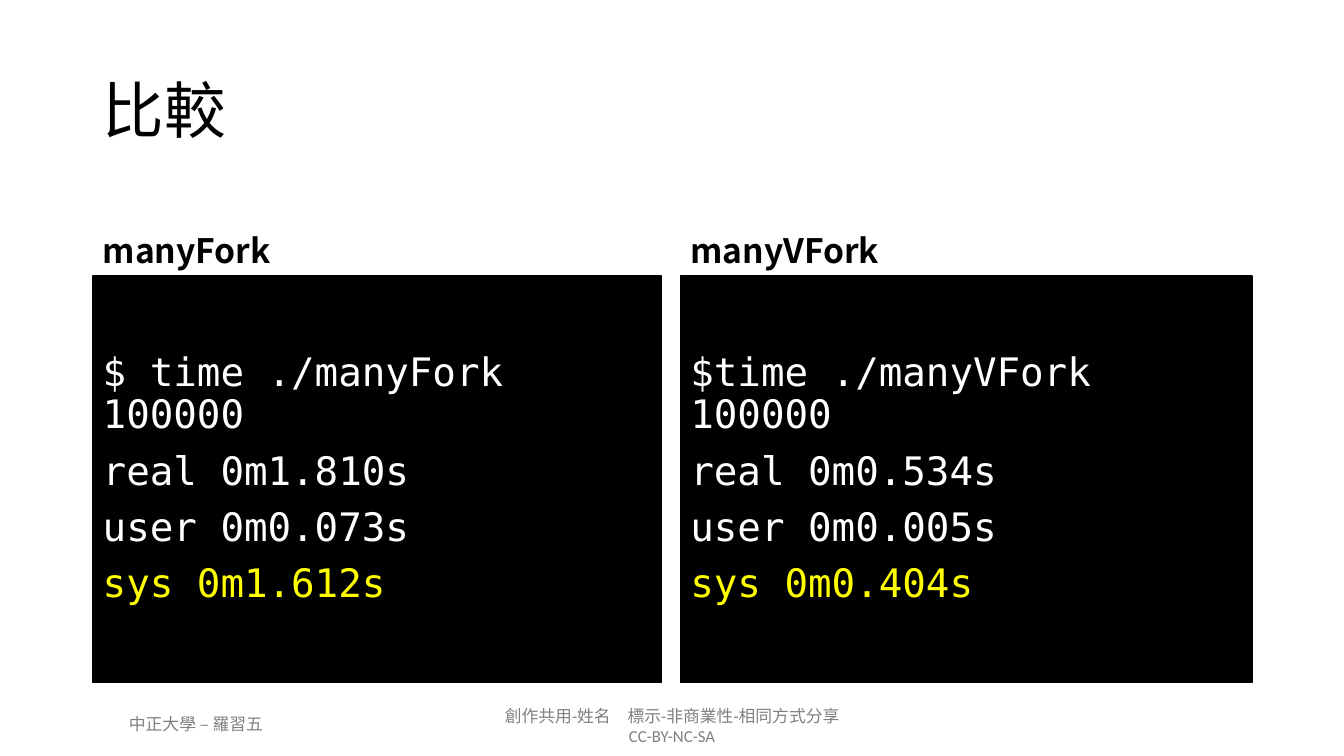
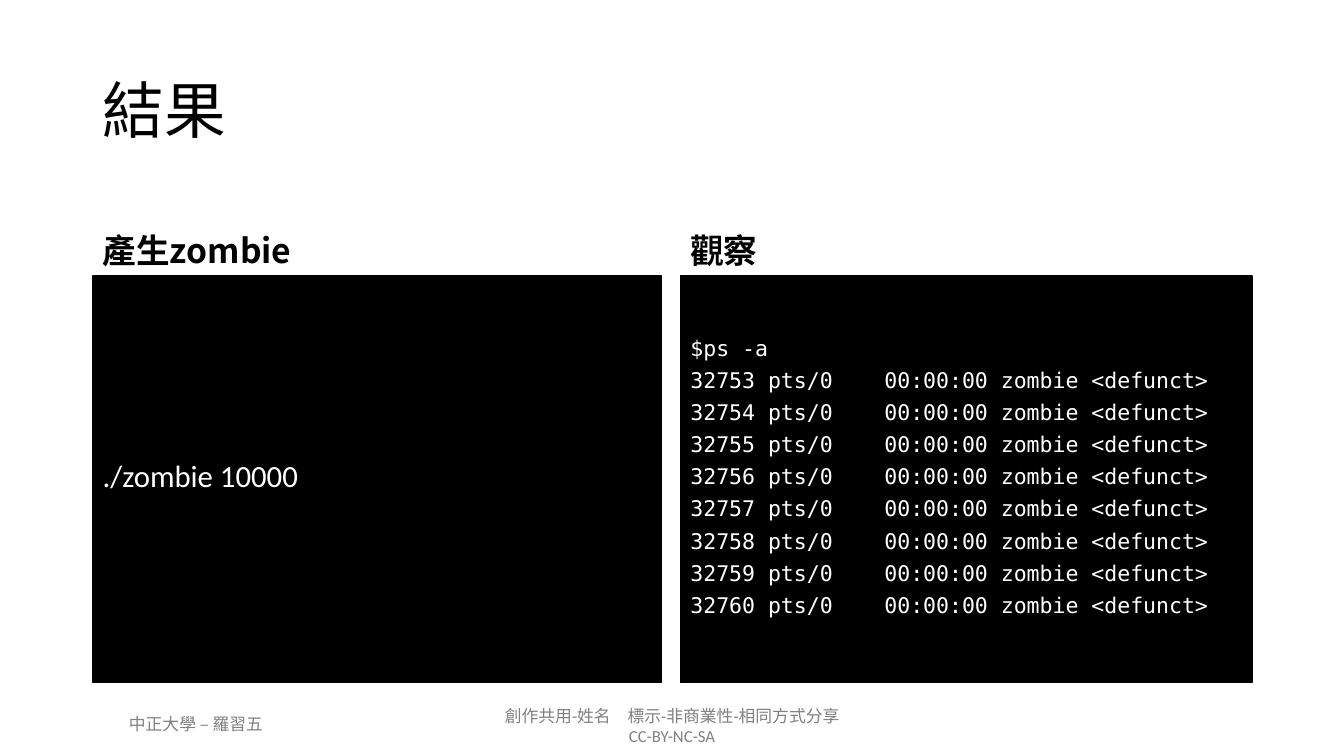
"""Build two comparison slides with terminal panels."""
from lxml import etree
from pptx import Presentation
from pptx.dml.color import RGBColor
from pptx.enum.shapes import MSO_SHAPE
from pptx.enum.text import MSO_ANCHOR, PP_ALIGN
from pptx.oxml.ns import qn
from pptx.util import Cm, Pt

RECTANGLE = MSO_SHAPE.RECTANGLE
TOP, MIDDLE, BOTTOM = MSO_ANCHOR.TOP, MSO_ANCHOR.MIDDLE, MSO_ANCHOR.BOTTOM
LEFT, CENTER = PP_ALIGN.LEFT, PP_ALIGN.CENTER

BLACK, WHITE, YELLOW, GRAY = "000000", "FFFFFF", "FFFF00", "808080"
SANS, MONO, CJK = "Calibri", "DejaVu Sans Mono", "Noto Sans CJK SC"

TIMING = {"size": 28, "font": MONO, "spacing": 0.9}
COMMAND = {"size": 22, "font": SANS, "spacing": 0.7}
LISTING = {"size": 15.4, "font": MONO, "spacing": 0.7, "tab": 4.89}

PROCESSES = [f"{number} pts/0\t00:00:00 zombie <defunct>" for number in range(32753, 32761)]

SLIDES = [
    ("比較", [
        ("manyFork", TIMING,
         ["$ time ./manyFork 100000", "real 0m1.810s", "user 0m0.073s", "sys 0m1.612s"]),
        ("manyVFork", TIMING,
         ["$time ./manyVFork 100000", "real 0m0.534s", "user 0m0.005s", "sys 0m0.404s"]),
    ]),
    ("結果", [
        ("產生zombie", COMMAND, ["./zombie 10000"]),
        ("觀察", LISTING, ["$ps -a", *PROCESSES]),
    ]),
]
FOOTERS = [
    ((10.69, 17.65, 12.5, 1.27), ["創作共用-姓名　標示-非商業性-相同方式分享", "CC-BY-NC-SA"]),
    ((1.75, 17.86, 6.38, 0.76), ["中正大學 – 羅習五"]),
]

TITLE_BOX = (2.34, 1.02, 29.21, 3.68)
COLUMNS = [(2.34, 14.33), (17.15, 14.4)]
HEADING_TOP, HEADING_HEIGHT = 4.67, 2.29
PANEL_TOP, PANEL_HEIGHT = HEADING_TOP + HEADING_HEIGHT, 10.24


def color(value):
    return RGBColor.from_string(value)


def write(shape, lines, size, font, ink=BLACK, bold=False, anchor=TOP,
          align=LEFT, spacing=1.0, before=0, tab=None):
    frame = shape.text_frame
    frame.word_wrap = True
    frame.vertical_anchor = anchor
    frame.text = "\n".join(lines)
    for paragraph in frame.paragraphs:
        paragraph.alignment = align
        paragraph.line_spacing = spacing
        paragraph.space_before = Pt(before)
        if tab:
            stops = etree.SubElement(paragraph._p.get_or_add_pPr(), qn("a:tabLst"))
            etree.SubElement(stops, qn("a:tab"), pos=str(int(Cm(tab))), algn="l")
        for run in paragraph.runs:
            run.font.size = Pt(size)
            run.font.bold = bold
            run.font.color.rgb = color(YELLOW if run.text.startswith("sys ") else ink)
            run.font.name = font
            etree.SubElement(run._r.get_or_add_rPr(), qn("a:ea"), typeface=CJK)


def add_text(slide, box, lines, size, font, **style):
    shape = slide.shapes.add_textbox(*map(Cm, box))
    write(shape, lines, size, font, **style)


def add_panel(slide, box, lines, style):
    panel = slide.shapes.add_shape(RECTANGLE, *map(Cm, box))
    panel.shadow.inherit = False
    panel.fill.solid()
    panel.fill.fore_color.rgb = color(BLACK)
    panel.line.color.rgb = color(BLACK)
    panel.line.width = Pt(1)
    write(panel, lines, ink=WHITE, anchor=MIDDLE, before=10, **style)


def add_slide(presentation, title, panels):
    slide = presentation.slides.add_slide(presentation.slide_layouts[6])
    for box, lines in FOOTERS:
        add_text(slide, box, lines, 12, SANS, ink=GRAY, align=CENTER)
    add_text(slide, TITLE_BOX, [title], 44, CJK, anchor=MIDDLE, spacing=0.9)
    for (left, width), (heading, style, lines) in zip(COLUMNS, panels):
        add_text(slide, (left, HEADING_TOP, width, HEADING_HEIGHT), [heading], 24, CJK,
                 bold=True, anchor=BOTTOM, spacing=0.9, before=10)
        add_panel(slide, (left, PANEL_TOP, width, PANEL_HEIGHT), lines, style)


def main():
    presentation = Presentation()
    presentation.slide_width, presentation.slide_height = Cm(33.87), Cm(19.05)
    for title, panels in SLIDES:
        add_slide(presentation, title, panels)
    presentation.save("out.pptx")


if __name__ == "__main__":
    main()
